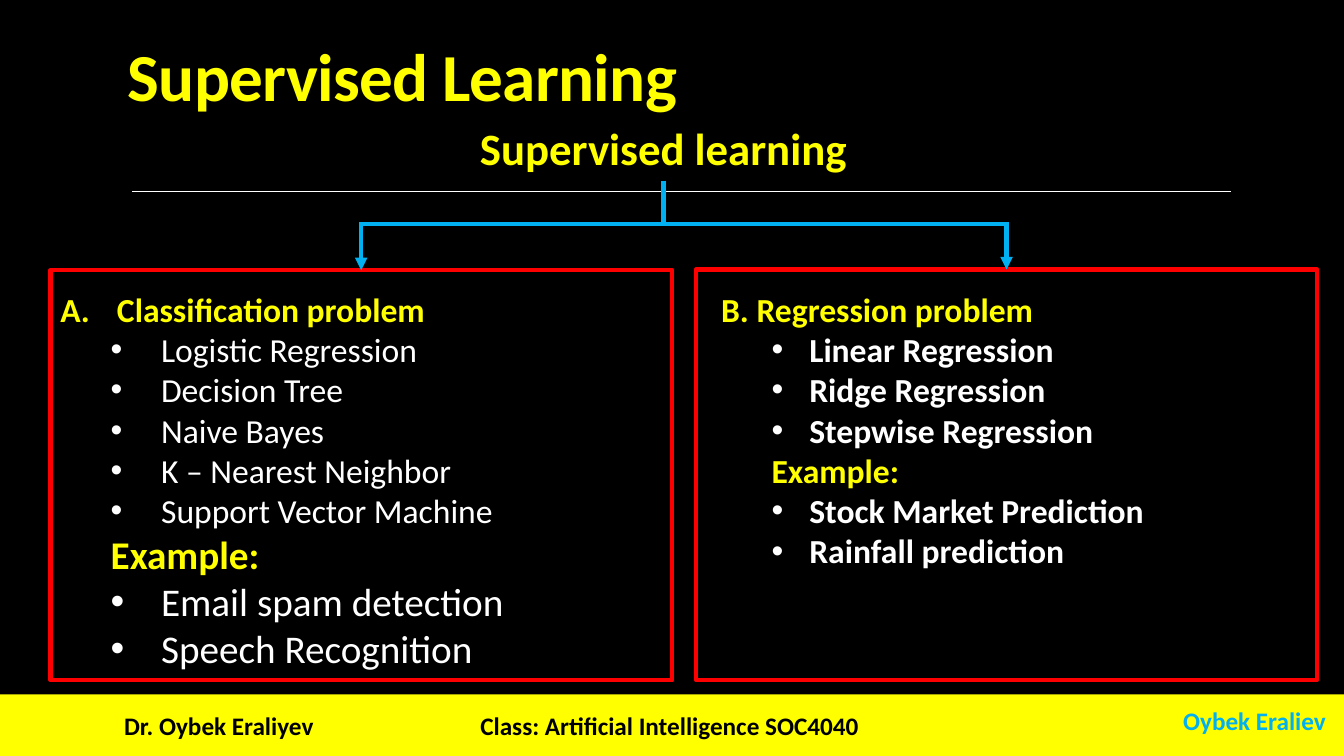
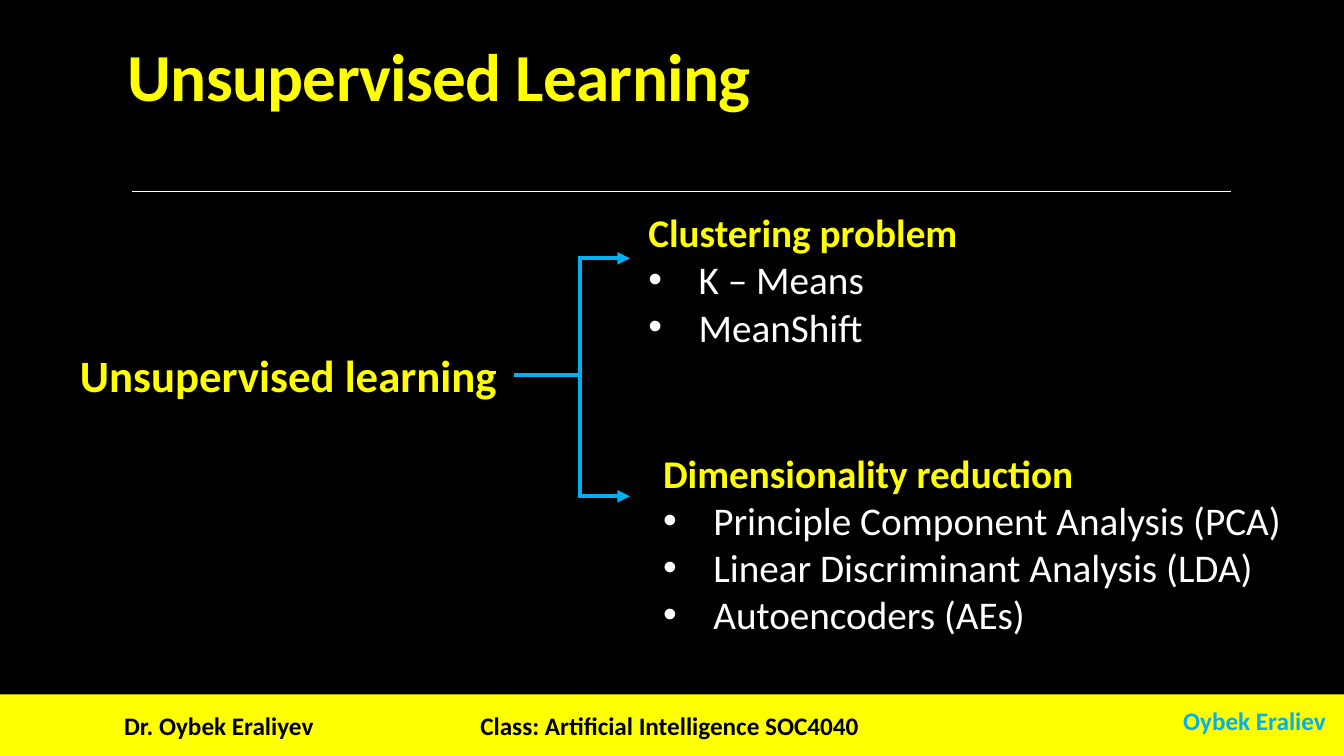
"""Build two slides on supervised and unsupervised learning."""
from dataclasses import dataclass

from lxml import etree
from pptx import Presentation
from pptx.dml.color import RGBColor
from pptx.enum.shapes import MSO_CONNECTOR, MSO_SHAPE
from pptx.enum.text import MSO_ANCHOR, MSO_AUTO_SIZE, PP_ALIGN
from pptx.oxml.ns import qn
from pptx.util import Pt

STRAIGHT = MSO_CONNECTOR.STRAIGHT
RECTANGLE = MSO_SHAPE.RECTANGLE
BOTTOM = MSO_ANCHOR.BOTTOM
NO_AUTOFIT = MSO_AUTO_SIZE.NONE
LEFT, CENTER = PP_ALIGN.LEFT, PP_ALIGN.CENTER
TOP_SITE, BOTTOM_SITE, RIGHT_SITE = 0, 2, 3


@dataclass(frozen=True)
class Theme:
    """Colours, font, type sizes and line widths of the deck."""
    font: str = "Calibri"
    black: RGBColor = RGBColor(0, 0, 0)
    white: RGBColor = RGBColor(255, 255, 255)
    yellow: RGBColor = RGBColor(255, 255, 0)
    blue: RGBColor = RGBColor(0, 176, 240)
    red: RGBColor = RGBColor(255, 0, 0)
    title: int = 48
    heading: int = 32
    large: int = 28
    body: int = 24
    footer: int = 18
    hairline: float = 0.5
    stroke: float = 3


THEME = Theme()
WIDTH, HEIGHT = 960, 540
BAND_TOP = 496


@dataclass(frozen=True)
class Item:
    """One paragraph with its look, indents and marker."""
    text: str
    size: int
    color: RGBColor = THEME.yellow
    bold: bool = True
    left: float = 0
    hang: float = 0
    marker: str = ""
    align: PP_ALIGN = LEFT


def bullets(texts, size, left=36, hang=36, bold=False):
    """Return white bulleted items."""
    return [Item(text, size, THEME.white, bold, left, hang, "buChar") for text in texts]


def format_runs(para, size, color, bold=True):
    """Give every run of a paragraph its font."""
    for span in para.runs:
        span.font.name = THEME.font
        span.font.size = Pt(size)
        span.font.bold = bold
        span.font.color.rgb = color


def set_marker(para, item):
    """Set the indents and the bullet or letter of a paragraph."""
    properties = para._p.get_or_add_pPr()
    properties.set("marL", str(Pt(item.left)))
    properties.set("indent", str(Pt(-item.hang)))
    if item.marker == "buChar":
        etree.SubElement(properties, qn("a:buFont")).set("typeface", "Arial")
        etree.SubElement(properties, qn("a:buChar")).set("char", "•")
    elif item.marker:
        etree.SubElement(properties, qn("a:buAutoNum")).set("type", item.marker)


def add_text(page, left, top, width, height, items, wrap=True):
    """Add a text box holding the items."""
    box = page.shapes.add_textbox(Pt(left), Pt(top), Pt(width), Pt(height))
    frame = box.text_frame
    frame.word_wrap = wrap
    for index, item in enumerate(items):
        para = frame.add_paragraph() if index else frame.paragraphs[0]
        para.text = item.text
        para.alignment = item.align
        set_marker(para, item)
        format_runs(para, item.size, item.color, item.bold)
    return box


def add_rectangle(page, left, top, width, height, fill=None, line=None):
    """Add a rectangle with an optional fill and outline."""
    box = page.shapes.add_shape(RECTANGLE, Pt(left), Pt(top), Pt(width), Pt(height))
    box.shadow.inherit = False
    if fill is None:
        box.fill.background()
    else:
        box.fill.solid()
        box.fill.fore_color.rgb = fill
    if line is None:
        box.line.fill.background()
    else:
        box.line.color.rgb = line
        box.line.width = Pt(THEME.stroke)
    return box


def add_line(page, start, end, color=THEME.blue, width=THEME.stroke, arrow=False):
    """Add a straight line, with an arrowhead at its end if asked."""
    line = page.shapes.add_connector(STRAIGHT, *(Pt(value) for value in (*start, *end)))
    line.line.color.rgb = color
    line.line.width = Pt(width)
    if arrow:
        etree.SubElement(line.line._get_or_add_ln(), qn("a:tailEnd")).set("type", "triangle")
    etree.SubElement(line._element.spPr, qn("a:effectLst"))
    return line


def add_page(deck, title):
    """Add a slide with the title, rule and footer band."""
    page = deck.slides.add_slide(deck.slide_layouts[5])
    add_rectangle(page, 0, BAND_TOP, WIDTH, HEIGHT - BAND_TOP, fill=THEME.yellow)
    add_line(page, (94.5, 137), (879, 137), THEME.white, THEME.hairline)
    footers = (
        ("Dr. Oybek Eraliyev", 81.5, 503.5, 151, THEME.black),
        ("Class: Artificial Intelligence SOC4040", 336, 503.5, 287, THEME.black),
        ("Oybek Eraliev", 838, 500.5, 117, THEME.blue),
    )
    for text, left, top, width, color in footers:
        add_text(page, left, top, width, 29, [Item(text, THEME.footer, color)], wrap=False)

    box = page.shapes.title
    box.left, box.top, box.width, box.height = Pt(84), Pt(19), Pt(672), Pt(67)
    frame = box.text_frame
    frame.text = title
    frame.auto_size = NO_AUTOFIT
    frame.vertical_anchor = BOTTOM
    para = frame.paragraphs[0]
    para.alignment = LEFT
    para.line_spacing = 0.85
    format_runs(para, THEME.title, THEME.yellow)
    for span in para.runs:
        span.font._element.set("spc", "-50")
    return page


def build_supervised(deck):
    """Build the tree of supervised problems."""
    page = add_page(deck, "Supervised Learning")
    heading = add_text(page, 330, 83, 288, 46,
                       [Item("Supervised learning", THEME.heading, align=CENTER)])
    classification = [
        Item("Classification problem", THEME.body, left=40.5, hang=40.5,
             marker="alphaUcPeriod"),
        *bullets(("Logistic Regression", "Decision Tree", "Naive Bayes",
                  "K – Nearest Neighbor", "Support Vector Machine"), THEME.body, 72),
        Item("Example:", THEME.large, left=36),
        *bullets(("Email spam detection", "Speech Recognition"), THEME.large, 72),
    ]
    regression = [
        Item("B. Regression problem", THEME.body),
        *bullets(("Linear Regression", "Ridge Regression", "Stepwise Regression"),
                 THEME.body, 63, 27, True),
        Item("Example:", THEME.body, left=36),
        *bullets(("Stock Market Prediction", "Rainfall prediction"),
                 THEME.body, 63, 27, True),
    ]
    add_text(page, 36, 202.5, 438, 284, classification)
    add_text(page, 508, 202.5, 387, 211, regression)

    trunk_x, bar_y, frame_width = 474, 160, 444
    trunk = add_line(page, (trunk_x, 129), (trunk_x, bar_y))
    trunk.begin_connect(heading, BOTTOM_SITE)
    centers = []
    for left, top in ((36, 193), (497, 192.5)):
        frame = add_rectangle(page, left, top, frame_width, 293, line=THEME.red)
        center = left + frame_width / 2
        drop = add_line(page, (center, bar_y), (center, top), arrow=True)
        drop.end_connect(frame, TOP_SITE)
        centers.append(center)
    overlap = THEME.stroke / 2
    add_line(page, (centers[0] - overlap, bar_y), (centers[1] + overlap, bar_y))


def build_unsupervised(deck):
    """Build the tree of unsupervised problems."""
    page = add_page(deck, "Unsupervised Learning")
    heading = add_text(page, 50, 245, 317, 46,
                       [Item("Unsupervised learning", THEME.heading)])
    groups = (
        (456, 145.5, 320, 109, "Clustering problem", ("K – Means", "MeanShift")),
        (466.5, 317.5, 470, 143, "Dimensionality reduction",
         ("Principle Component Analysis (PCA)", "Linear Discriminant Analysis (LDA)",
          "Autoencoders (AEs)")),
    )
    for left, top, width, height, name, methods in groups:
        add_text(page, left, top, width, height,
                 [Item(name, THEME.large), *bullets(methods, THEME.large)])

    spine_x, branches = 414.5, (184.5, 354.5)
    stem = add_line(page, (367, 268), (spine_x, 268))
    stem.begin_connect(heading, RIGHT_SITE)
    overlap = THEME.stroke / 2
    add_line(page, (spine_x, branches[0] - overlap), (spine_x, branches[1] + overlap))
    for branch_y in branches:
        add_line(page, (spine_x, branch_y), (450, branch_y), arrow=True)


def main():
    """Build and save the deck."""
    deck = Presentation()
    deck.slide_width, deck.slide_height = Pt(WIDTH), Pt(HEIGHT)
    fill = deck.slide_master.background.fill
    fill.solid()
    fill.fore_color.rgb = THEME.black
    build_supervised(deck)
    build_unsupervised(deck)
    deck.save("out.pptx")


if __name__ == "__main__":
    main()
